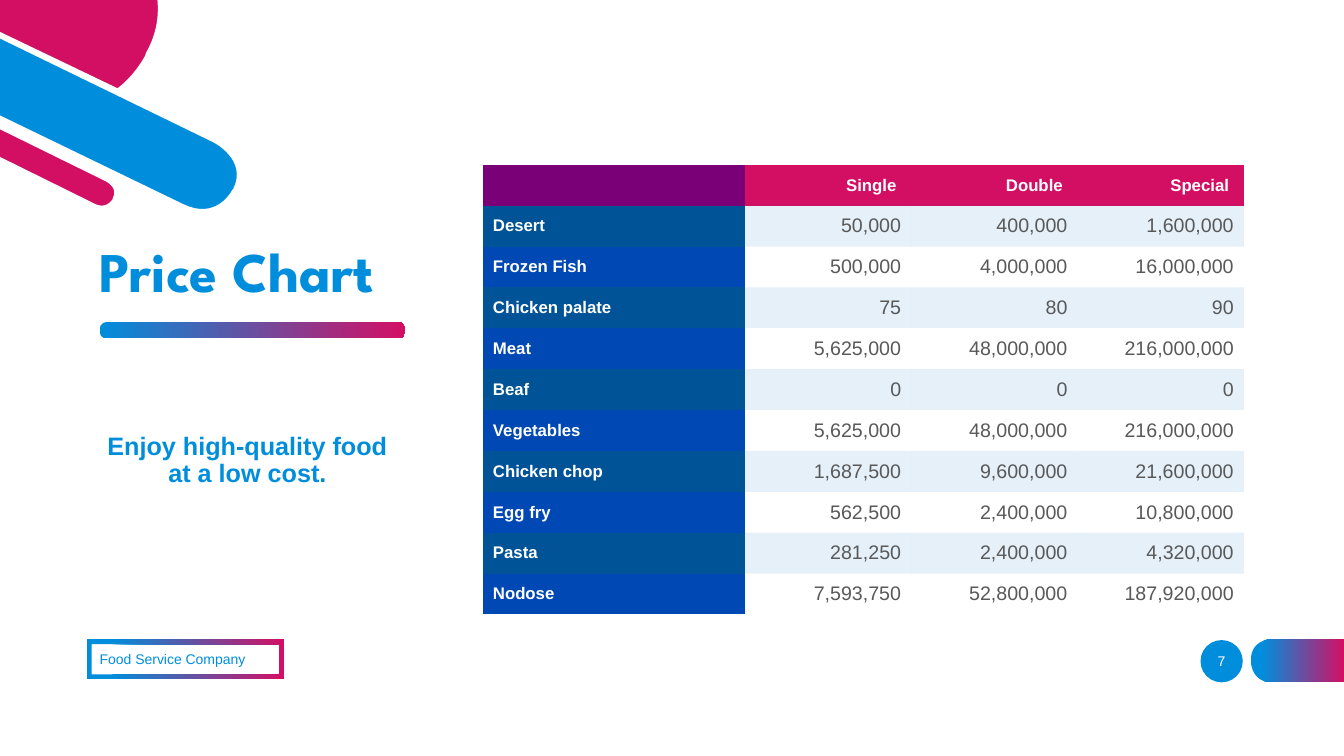
from dataclasses import dataclass

from lxml import etree
from pptx import Presentation
from pptx.dml.color import RGBColor
from pptx.enum import shapes, text
from pptx.oxml import ns
from pptx.util import Pt


@dataclass(frozen=True)
class Theme:
    blue: str = "008EDC"
    pink: str = "D30F64"
    white: str = "FFFFFF"
    corner: str = "7A0078"
    names: tuple = ("005397", "0048B3")
    tint: str = "006FC9"
    tint_alpha: int = 10
    grey: str = "595959"
    heading: str = "League Spartan"
    sans: str = "Arial"
    title: int = 40
    slogan: int = 18
    value: int = 14
    label: int = 12
    small: int = 10


THEME = Theme()
TITLE = "Price Chart"
SLOGAN = "Enjoy high-quality food at a low cost."
COMPANY = "Food Service Company"
PAGE_NUMBER = "7"
PRICES = [
    ("", "Single ", "Double ", "Special "),
    ("Desert", "50,000", "400,000", "1,600,000"),
    ("Frozen Fish", "500,000", "4,000,000", "16,000,000"),
    ("Chicken palate", "75", "80", "90"),
    ("Meat", "5,625,000", "48,000,000", "216,000,000"),
    ("Beaf", "0", "0", "0"),
    ("Vegetables", "5,625,000", "48,000,000", "216,000,000"),
    ("Chicken chop", "1,687,500", "9,600,000", "21,600,000"),
    ("Egg fry", "562,500", "2,400,000", "10,800,000"),
    ("Pasta", "281,250", "2,400,000", "4,320,000"),
    ("Nodose", "7,593,750", "52,800,000", "187,920,000"),
]
COLUMNS = (187.2, 118.8, 118.8, 118.8)
ROW_HEIGHT = 29.2
NO_STYLE = "{2D5ABB26-0587-4C30-8999-92F81FD0307C}"

# Each step holds one point for a line or three points for a curve.
DISC = [(105.1, 40.3), (105.1, 40.3, 97.9, 54.7, 84.2, 64.8), (-2, 23.5),
        (-2, -2), (113.8, -2), (115.2, 10.8, 113.8, 23.8, 105.8, 38.2)]
THIN_BAR = [(-2, 89.7), (76.3, 128.2), (76.3, 128.2, 86.4, 133.2, 82.1, 141.8),
            (82.1, 142.6), (82.1, 142.6, 77, 151.9, 67, 146.9), (-2, 112.8)]
WIDE_BAR = [(152.6, 100.1), (152.6, 100.1, 179.3, 113, 167.8, 136.1),
            (167, 136.8), (167, 136.8, 155.5, 159.8, 129.6, 146.9),
            (-2, 83.2), (-2, 24.9)]
EDGE_TAB = [(908.6, 487.4), (960, 487.4), (960, 456.5), (908.6, 456.5),
            (908.6, 456.5, 893.5, 456.5, 893.5, 471.6), (893.5, 472.3),
            (893.5, 472.3, 893.5, 487.4, 908.6, 487.4)]


def rgb(value):
    return RGBColor.from_string(value)


def paint(shape, color):
    shape.shadow.inherit = False
    shape.line.fill.background()
    shape.fill.solid()
    shape.fill.fore_color.rgb = rgb(color)


def paint_gradient(shape, start=0.12):
    paint(shape, THEME.blue)
    shape.fill.gradient()
    shape.fill.gradient_angle = 0
    for stop, color, position in zip(shape.fill.gradient_stops,
                                     (THEME.blue, THEME.pink), (start, 1)):
        stop.color.rgb = rgb(color)
        stop.position = position


def trace(steps, samples=16):
    points = [steps[0]]
    for step in steps[1:]:
        if len(step) == 2:
            points.append(step)
            continue
        knots = [points[-1], step[:2], step[2:4], step[4:]]
        for index in range(1, samples + 1):
            t = index / samples
            weights = ((1 - t) ** 3, 3 * t * (1 - t) ** 2, 3 * t * t * (1 - t), t ** 3)
            points.append(tuple(sum(w * knot[axis] for w, knot in zip(weights, knots))
                                for axis in (0, 1)))
    return points


def add_outline(page, steps):
    points = [(x * 100, y * 100) for x, y in trace(steps)]
    builder = page.shapes.build_freeform(*points[0], scale=Pt(1) / 100)
    builder.add_line_segments(points[1:], close=True)
    return builder.convert_to_shape()


def place(shape, left, top, width, height):
    shape.left, shape.top, shape.width, shape.height = map(Pt, (left, top, width, height))


def write(frame, words, size, color, bold=False, align=text.PP_ALIGN.LEFT,
          face=THEME.sans, anchor=text.MSO_ANCHOR.MIDDLE):
    frame.word_wrap = True
    frame.vertical_anchor = anchor
    para = frame.paragraphs[0]
    para.text = words
    para.alignment = align
    para.font.size = Pt(size)
    para.font.name = face
    para.font.bold = bold
    para.font.color.rgb = rgb(color)
    return para


def add_label(page, words, bounds, color, align):
    box = page.shapes.add_textbox(*map(Pt, bounds))
    write(box.text_frame, words, THEME.small, color, align=align)


def add_decor(page):
    for steps, color in ((DISC, THEME.pink), (THIN_BAR, THEME.pink),
                         (WIDE_BAR, THEME.blue)):
        shape = add_outline(page, steps)
        paint(shape, color)
        shape.line.color.rgb = rgb(THEME.white)
        shape.line.width = Pt(3)
    paint_gradient(add_outline(page, EDGE_TAB))
    badge = page.shapes.add_shape(shapes.MSO_SHAPE.OVAL, *map(Pt, (857.5, 457.2, 30.2, 30.2)))
    paint(badge, THEME.blue)
    rule = page.shapes.add_shape(shapes.MSO_SHAPE.ROUNDED_RECTANGLE,
                                 *map(Pt, (71.3, 230.2, 218.2, 11.5)))
    rule.adjustments[0] = 0.4
    paint_gradient(rule, 0)


def add_headings(page):
    title, body = page.placeholders
    place(title, 64.1, 167.8, 267.8, 53.3)
    para = write(title.text_frame, TITLE, THEME.title, THEME.blue, True,
                 face=THEME.heading, anchor=text.MSO_ANCHOR.BOTTOM)
    para.line_spacing = 0.9
    place(body, 65.5, 256.3, 222.5, 145.4)
    para = write(body.text_frame, SLOGAN, THEME.slogan, THEME.blue, True,
                 text.PP_ALIGN.CENTER)
    para.line_spacing = 0.9
    para.space_before = Pt(10)
    settings = para._p.get_or_add_pPr()
    settings.set("marL", "0")
    settings.set("indent", "0")
    etree.SubElement(settings, ns.qn("a:buNone"))
    for box in (title, body):
        box.text_frame.auto_size = text.MSO_AUTO_SIZE.NONE


def cell_fill(row, column):
    if row == 0:
        return THEME.pink if column else THEME.corner
    if column == 0:
        return THEME.names[(row - 1) % 2]
    return THEME.tint if row % 2 else THEME.white


def add_prices(page):
    table = page.shapes.add_table(len(PRICES), len(COLUMNS), Pt(344.9), Pt(117.7),
                                  Pt(sum(COLUMNS)), Pt(ROW_HEIGHT * len(PRICES))).table
    table._tbl.tblPr.find(ns.qn("a:tableStyleId")).text = NO_STYLE
    for column, width in zip(table.columns, COLUMNS):
        column.width = Pt(width)
    for row, values in enumerate(PRICES):
        table.rows[row].height = Pt(ROW_HEIGHT)
        for column, words in enumerate(values):
            cell = table.cell(row, column)
            heading = row == 0 or column == 0
            write(cell.text_frame, words, THEME.label if heading else THEME.value,
                  THEME.white if heading else THEME.grey, heading,
                  text.PP_ALIGN.RIGHT if column else text.PP_ALIGN.LEFT)
            cell.vertical_anchor = text.MSO_ANCHOR.MIDDLE
            color = cell_fill(row, column)
            cell.fill.solid()
            cell.fill.fore_color.rgb = rgb(color)
            if color == THEME.tint:
                swatch = cell._tc.tcPr.find(".//" + ns.qn("a:srgbClr"))
                etree.SubElement(swatch, ns.qn("a:alpha"), val=str(THEME.tint_alpha * 1000))


def add_footer(page):
    add_label(page, COMPANY, (64.1, 456.5, 324, 28.8), THEME.blue, text.PP_ALIGN.LEFT)
    add_label(page, PAGE_NUMBER, (851, 457.9, 43.2, 28.8), THEME.white, text.PP_ALIGN.CENTER)
    frame = page.shapes.add_shape(shapes.MSO_SHAPE.FRAME, *map(Pt, (61.9, 456.5, 141.1, 28.8)))
    paint_gradient(frame)


def main():
    deck = Presentation()
    deck.slide_width, deck.slide_height = Pt(960), Pt(540)
    page = deck.slides.add_slide(deck.slide_layouts[1])
    add_decor(page)
    add_headings(page)
    add_prices(page)
    add_footer(page)
    deck.save("out.pptx")


if __name__ == "__main__":
    main()
